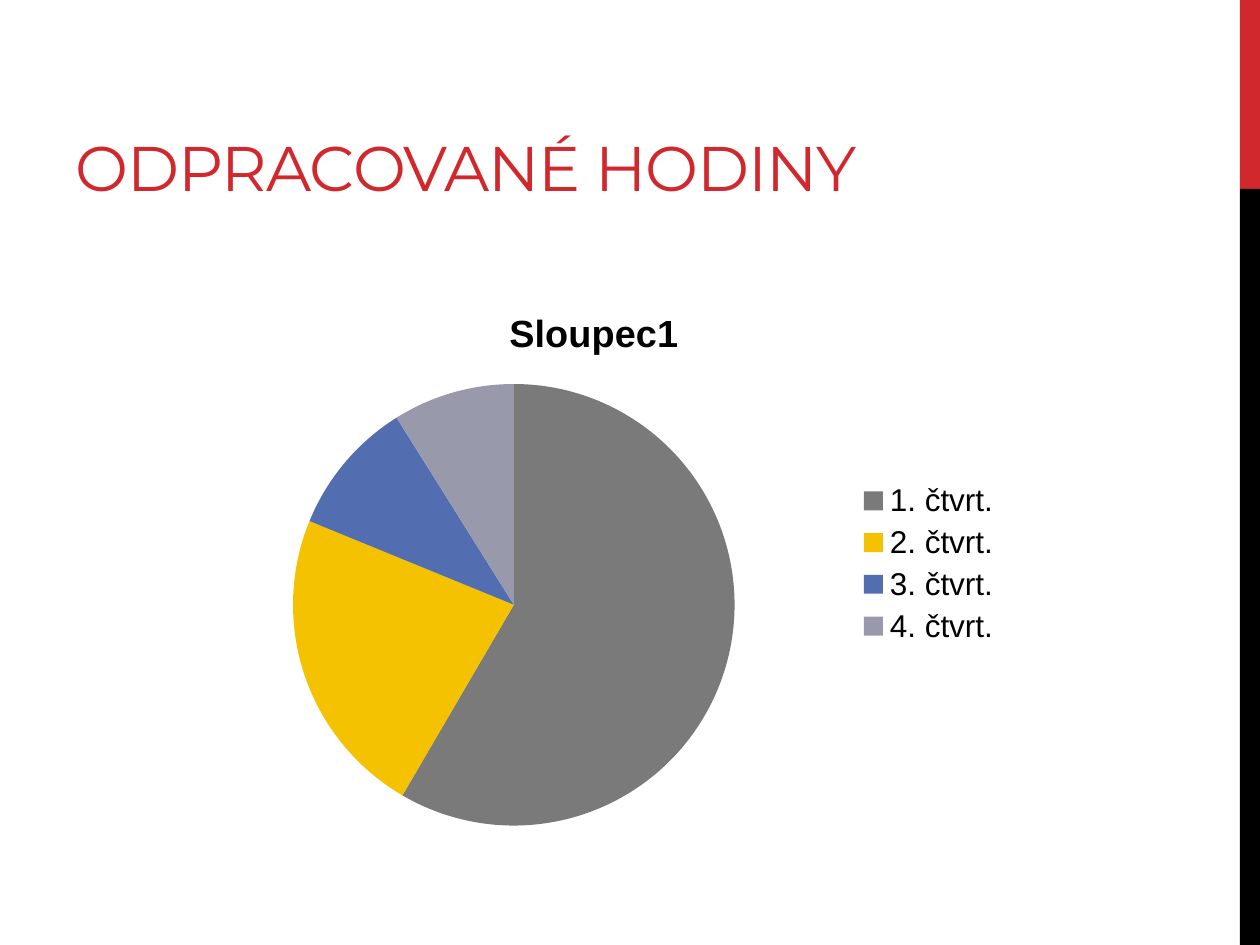
from pptx import Presentation
from pptx.chart.data import CategoryChartData
from pptx.dml.color import RGBColor
from pptx.enum.chart import XL_CHART_TYPE, XL_LEGEND_POSITION
from pptx.enum.shapes import MSO_SHAPE
from pptx.enum.text import MSO_ANCHOR, PP_ALIGN
from pptx.util import Pt

PX = 914400 // 126
RED = RGBColor(0xD1, 0x28, 0x2E)
BLACK = RGBColor(0x00, 0x00, 0x00)
GREY = RGBColor(0x7A, 0x7A, 0x7A)
YELLOW = RGBColor(0xF5, 0xC2, 0x01)
BLUE = RGBColor(0x52, 0x6D, 0xB0)
LAVENDER = RGBColor(0x98, 0x9A, 0xAC)
QUARTERS = [
    ("1. čtvrt.", 59, GREY),
    ("2. čtvrt.", 23, YELLOW),
    ("3. čtvrt.", 10, BLUE),
    ("4. čtvrt.", 9, LAVENDER),
]


def scale(*lengths):
    """Turn px lengths into EMU."""
    return [length * PX for length in lengths]


def style_font(font, name, size, color, bold=False):
    """Set the typeface, size, colour and weight of a font."""
    font.name = name
    font.size = Pt(size)
    font.bold = bold
    font.color.rgb = color


def add_bar(slide, box, color):
    """Add a plain rectangle of one colour."""
    shape = slide.shapes.add_shape(MSO_SHAPE.RECTANGLE, *scale(*box))
    shape.shadow.inherit = False
    shape.fill.solid()
    shape.fill.fore_color.rgb = color
    shape.line.fill.background()


def set_title(slide, box, text):
    """Place and format the title placeholder."""
    title = slide.shapes.title
    title.left, title.top, title.width, title.height = scale(*box)
    frame = title.text_frame
    frame.text = text
    frame.word_wrap = True
    frame.vertical_anchor = MSO_ANCHOR.BOTTOM
    paragraph = frame.paragraphs[0]
    paragraph.alignment = PP_ALIGN.LEFT
    style_font(paragraph.font, "Montserrat", 36, RED)
    paragraph.runs[0].font._element.set("spc", "-60")


def add_pie(slide, box, name, quarters):
    """Add a pie chart with a title, a legend and coloured slices."""
    labels, values, colors = zip(*quarters)
    data = CategoryChartData()
    data.categories = labels
    data.add_series(name, values)
    chart = slide.shapes.add_chart(XL_CHART_TYPE.PIE, *scale(*box), data).chart
    style_font(chart.font, "Arial", 18, BLACK)

    chart.has_title = True
    chart.chart_title.include_in_layout = False
    title_frame = chart.chart_title.text_frame
    title_frame.text = name
    style_font(title_frame.paragraphs[0].font, "Arial", 21.6, BLACK, bold=True)

    chart.has_legend = True
    chart.legend.position = XL_LEGEND_POSITION.RIGHT
    chart.legend.include_in_layout = False

    plot = chart.plots[0]
    plot.vary_by_categories = True
    for index, color in enumerate(colors):
        point_format = plot.series[0].points[index].format
        point_format.fill.solid()
        point_format.fill.fore_color.rgb = color
        point_format.line.fill.background()


def main():
    """Build the slide and save it."""
    presentation = Presentation()
    presentation.slide_width, presentation.slide_height = scale(1260, 945)
    slide = presentation.slides.add_slide(presentation.slide_layouts[5])
    add_bar(slide, (1240, 0, 20, 189), RED)
    add_bar(slide, (1240, 189, 20, 756), BLACK)
    set_title(slide, (63, 21, 934, 189), "ODPRACOVANÉ HODINY")
    add_pie(slide, (174, 284, 840, 559), "Sloupec1", QUARTERS)
    presentation.save("out.pptx")


if __name__ == "__main__":
    main()
